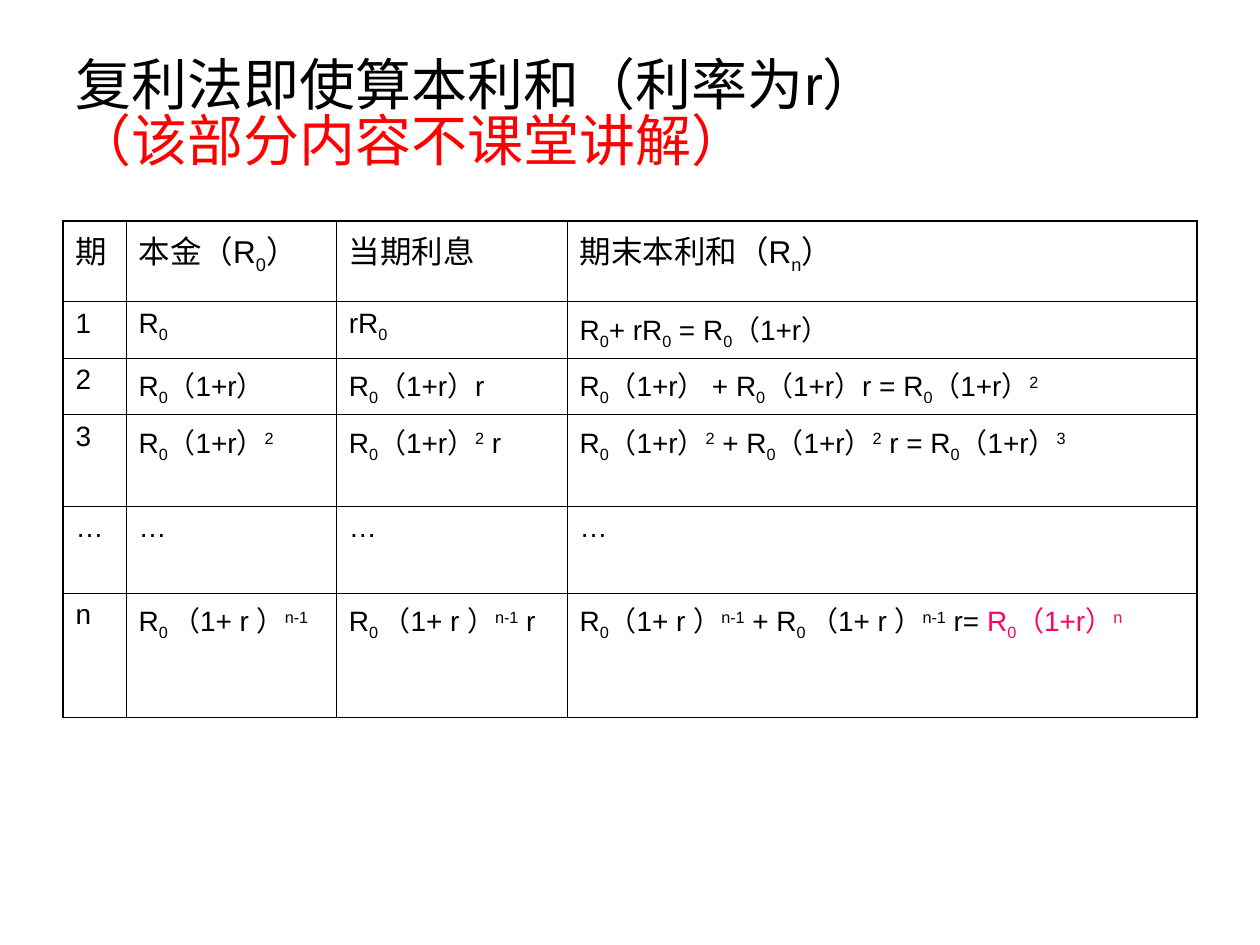
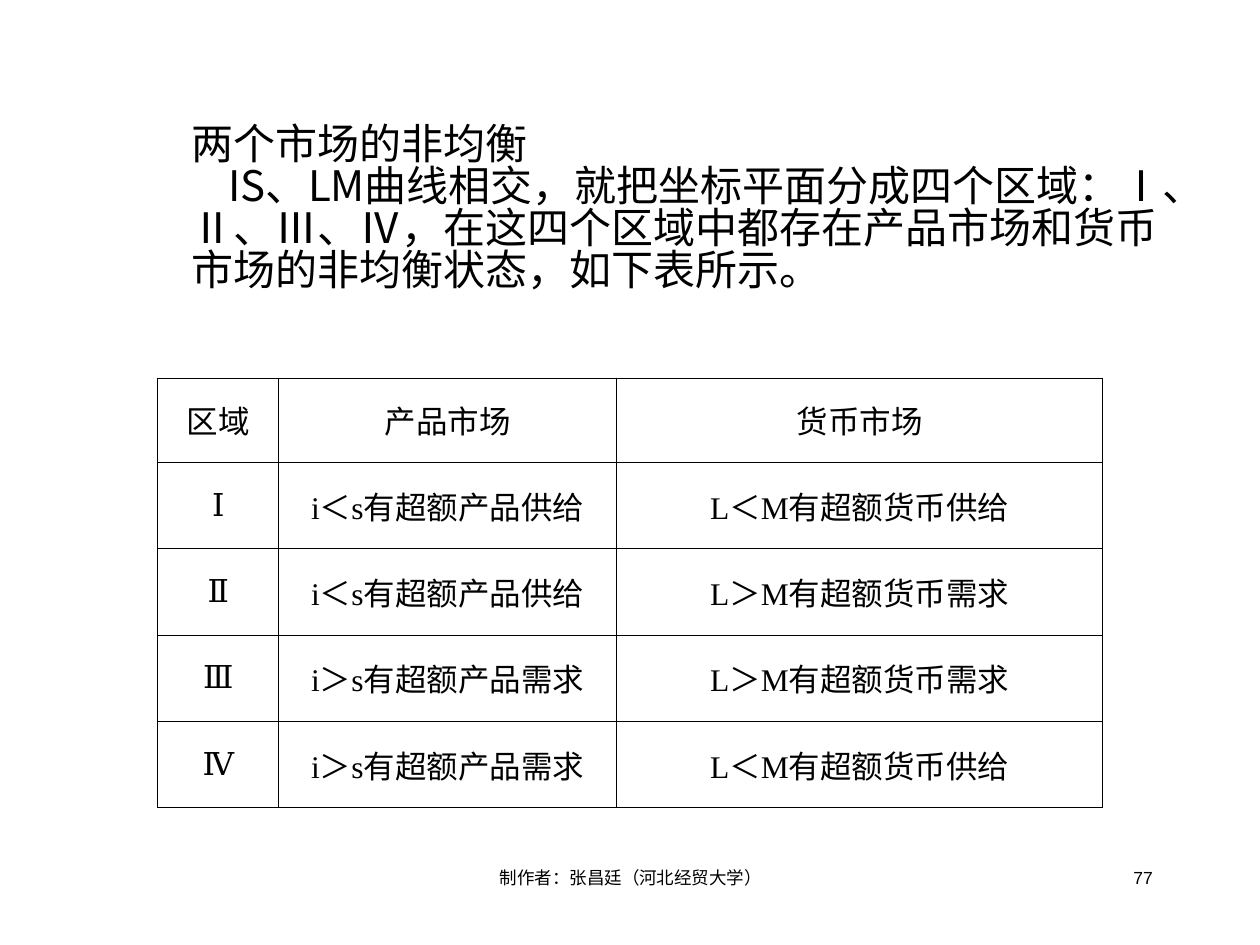
import dataclasses

import lxml.etree
import pptx
import pptx.dml.color
import pptx.enum.text
import pptx.oxml.ns
import pptx.util

Cm = pptx.util.Cm
Pt = pptx.util.Pt
ALIGN = pptx.enum.text.PP_ALIGN
ANCHOR = pptx.enum.text.MSO_ANCHOR
qn = pptx.oxml.ns.qn

COLORS = {"text": "000000", "note": "FF0000", "result": "FF0066", "paper": "FFFFFF"}
ARIAL, TIMES, NOTO = "Arial", "Times New Roman", "Noto Sans CJK SC"
BASELINES = {"_": "-25000", "^": "30000"}
INNER_LINE, OUTER_LINE = 0.45, 1.08
HEADING_SPACING = 0.83


@dataclasses.dataclass
class Run:
    text: str
    font: str = ARIAL
    size: float = 16
    color: str = "text"
    baseline: str = ""
    asian_font: str = NOTO


def formula(markup, size=16, color="text"):
    """Split markup at |; a piece starting with _ is lowered, with ^ raised."""
    runs = []
    for piece in markup.split("|"):
        baseline = BASELINES.get(piece[0], "")
        text = piece[1:] if baseline else piece
        runs.append(Run(text, size=size, color=color, baseline=baseline))
    return runs


def comparison(left, sign, right):
    return [Run(left, TIMES, 18), Run(sign, NOTO, 18), Run(right, TIMES, 18)]


def rgb(name):
    return pptx.dml.color.RGBColor.from_string(COLORS[name])


def add_run(paragraph, content):
    run = paragraph.add_run()
    run.text = content.text
    run.font.name = content.font
    run.font.size = Pt(content.size)
    run.font.color.rgb = rgb(content.color)
    properties = run.font._element
    if content.baseline:
        properties.set("baseline", content.baseline)
    asian = lxml.etree.SubElement(properties, qn("a:ea"))
    asian.set("typeface", content.asian_font)


def fill_paragraph(paragraph, runs, align):
    paragraph.alignment = align
    for content in runs:
        add_run(paragraph, content)


def add_text(slide, box, paragraphs, align=ALIGN.LEFT, anchor=ANCHOR.TOP, spacing=None):
    """Add a text box at box (left, top, width, height in cm)."""
    frame = slide.shapes.add_textbox(*map(Cm, box)).text_frame
    frame.word_wrap = True
    frame.vertical_anchor = anchor
    for index, runs in enumerate(paragraphs):
        paragraph = frame.add_paragraph() if index else frame.paragraphs[0]
        fill_paragraph(paragraph, runs, align)
        if spacing:
            paragraph.line_spacing = spacing
    return frame


def set_borders(cell, widths):
    properties = cell._tc.get_or_add_tcPr()
    for side, width in zip("LRTB", widths):
        line = lxml.etree.SubElement(properties, qn(f"a:ln{side}"))
        line.set("w", str(int(Pt(width))))
        fill = lxml.etree.SubElement(line, qn("a:solidFill"))
        lxml.etree.SubElement(fill, qn("a:srgbClr")).set("val", COLORS["text"])


def add_table(slide, position, column_widths, row_heights, rows,
              align=ALIGN.LEFT, anchor=ANCHOR.TOP, outer_line=INNER_LINE):
    """Add a ruled table; each cell in rows is a list of runs."""
    size = sum(column_widths), sum(row_heights)
    table = slide.shapes.add_table(
        len(rows), len(column_widths), *map(Cm, position + size)).table
    table.first_row = table.horz_banding = False
    for column, width in zip(table.columns, column_widths):
        column.width = Cm(width)
    for row, height in zip(table.rows, row_heights):
        row.height = Cm(height)
    last_row, last_column = len(rows) - 1, len(column_widths) - 1
    for r, row in enumerate(rows):
        for c, runs in enumerate(row):
            cell = table.cell(r, c)
            edges = c == 0, c == last_column, r == 0, r == last_row
            set_borders(cell, [outer_line if edge else INNER_LINE for edge in edges])
            cell.fill.solid()
            cell.fill.fore_color.rgb = rgb("paper")
            cell.vertical_anchor = anchor
            fill_paragraph(cell.text_frame.paragraphs[0], runs, align)


def build_compound_interest(slide):
    title = add_text(slide, (1.27, 0.76, 22.86, 3.18),
                     [[Run("复利法即使算本利和（利率为r）", size=32)]],
                     anchor=ANCHOR.MIDDLE, spacing=HEADING_SPACING)
    title.paragraphs[0].add_line_break()
    add_run(title.paragraphs[0], Run("（该部分内容不课堂讲解）", size=32, color="note"))

    header = ["期", "本金（R|_0|）", "当期利息", "期末本利和（R|_n|）"]
    periods = [
        ["1", "R|_0", "rR|_0", "R|_0|+ rR|_0| = R|_0|（1+r）"],
        ["2", "R|_0|（1+r）", "R|_0|（1+r）r",
         "R|_0|（1+r） + R|_0|（1+r）r = R|_0|（1+r）|^2"],
        ["3", "R|_0|（1+r）|^2", "R|_0|（1+r）|^2| r",
         "R|_0|（1+r）|^2| + R|_0|（1+r）|^2| r = R|_0|（1+r）|^3"],
        ["…"] * 4,
        ["n", "R|_0 |（1+ r ）|^n-1", "R|_0 |（1+ r ）|^n-1| r",
         "R|_0|（1+ r ）|^n-1| + R|_0 |（1+ r ）|^n-1| r= "],
    ]
    rows = [[formula(markup, size=18) for markup in header]]
    rows += [[formula(markup) for markup in period] for period in periods]
    rows[-1][-1] += formula("R|_0|（1+r）|^n", color="result")
    add_table(slide, (1.27, 4.45), (1.27, 4.24, 4.65, 12.7),
              (1.63, 1.14, 1.14, 1.85, 1.75, 2.51), rows, outer_line=OUTER_LINE)


def build_market_disequilibrium(slide):
    statements = [
        "两个市场的非均衡",
        "IS、LM曲线相交，就把坐标平面分成四个区域：Ⅰ、Ⅱ、Ⅲ、Ⅳ，"
        "在这四个区域中都存在产品市场和货币市场的非均衡状态，如下表所示。",
    ]
    body = add_text(slide, (3.61, 2.11, 20.12, 4.24),
                    [[Run(text, NOTO, 24)] for text in statements],
                    anchor=ANCHOR.MIDDLE, spacing=HEADING_SPACING)
    indent = body.paragraphs[1]._p.get_or_add_pPr()
    indent.set("marL", "0")
    indent.set("indent", str(int(Cm(0.75))))

    regions = [("Ⅰ", "＜", "＜"), ("Ⅱ", "＜", "＞"), ("Ⅲ", "＞", "＞"), ("Ⅳ", "＞", "＜")]
    excess = {"＜": "供给", "＞": "需求"}
    rows = [[[Run(text, TIMES, 18)] for text in ("区域", "产品市场", "货币市场")]]
    for region, product, money in regions:
        rows.append([
            [Run(region, TIMES, 18, asian_font=TIMES)],
            comparison("i", product, "s有超额产品" + excess[product]),
            comparison("L", money, "M有超额货币" + excess[money]),
        ])
    add_table(slide, (3.18, 7.62), (2.44, 6.81, 9.8), [1.7] + [1.74] * len(regions),
              rows, align=ALIGN.CENTER, anchor=ANCHOR.MIDDLE)

    add_text(slide, (8.69, 17.35, 8.05, 1.27),
             [[Run("制作者：张昌廷（河北经贸大学）", size=10)]], ALIGN.CENTER)
    add_text(slide, (18.21, 17.35, 5.28, 1.27), [[Run("77", size=10)]], ALIGN.RIGHT)


def main():
    presentation = pptx.Presentation()
    presentation.slide_width = Cm(25.4)
    presentation.slide_height = Cm(19.05)
    blank = presentation.slide_layouts[6]
    for build in (build_compound_interest, build_market_disequilibrium):
        build(presentation.slides.add_slide(blank))
    presentation.save("out.pptx")


if __name__ == "__main__":
    main()
